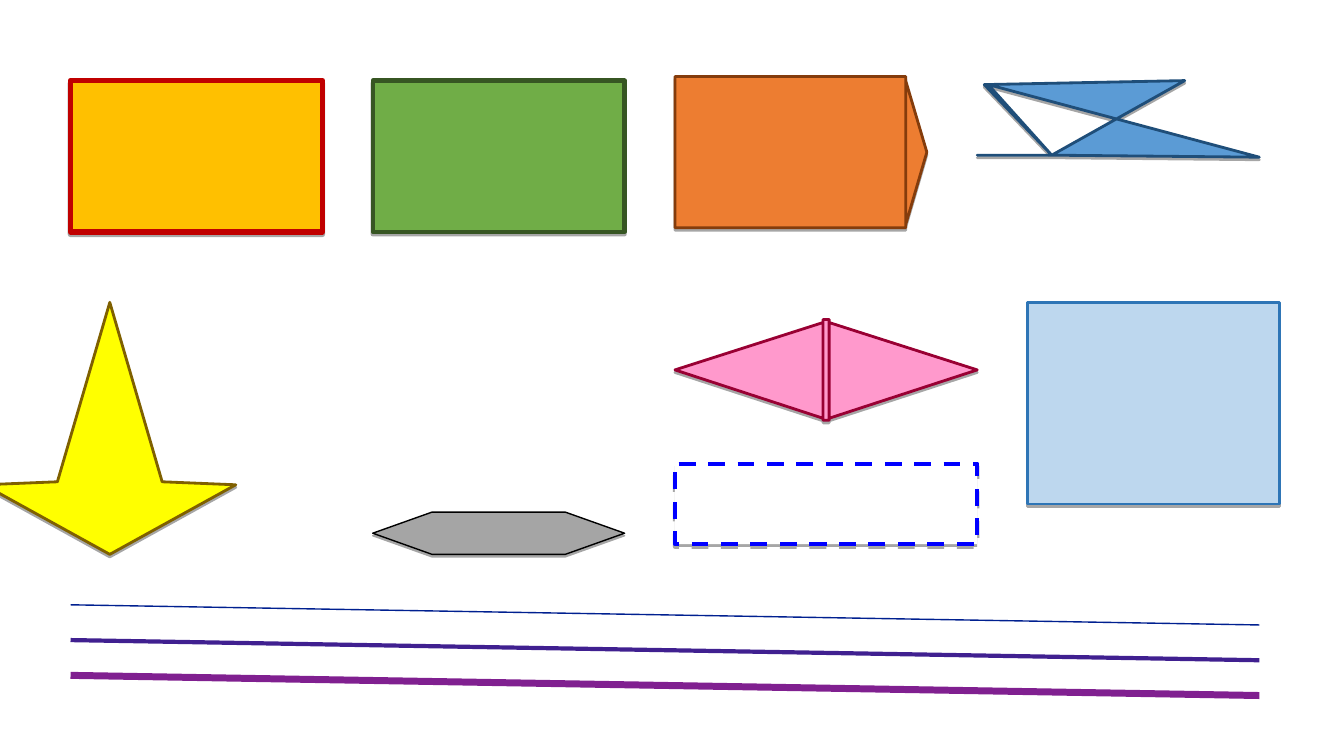
import pptx
import pptx.util
import pptx.dml.color
import pptx.enum.dml
import pptx.enum.shapes
import pptx.oxml
import pptx.oxml.ns

Inches = pptx.util.Inches
KIND = pptx.enum.shapes.MSO_SHAPE.RECTANGLE
STRAIGHT = pptx.enum.shapes.MSO_CONNECTOR.STRAIGHT

COLORS = {
    "gold": "FFC000", "red": "C00000",
    "green": "70AD47", "forest": "375623",
    "orange": "ED7D31", "brown": "843C0C",
    "blue": "5B9BD5", "navy": "1F4E79",
    "yellow": "FFFF00", "olive": "7F6000",
    "gray": "A5A5A5", "black": "000000",
    "pink": "FF99CC", "wine": "990033",
    "sky": "BDD7EE", "azure": "2E75B6",
    "white": "FFFFFF", "bright": "0000FF",
    "cobalt": "002090", "indigo": "402090", "purple": "802090",
}

# left, top, width, height, fill, line, weight
BOXES = [
    (0.7, 0.8, 2.5, 1.5, "gold", "red", 4),
    (3.7, 0.8, 2.5, 1.5, "green", "forest", 3),
    (10.2, 3, 2.5, 2, "sky", "azure", 2),
]
DASHED = (6.7, 4.6, 3, 0.8, "white", "bright", 3)

# corners, fill, line, weight
OUTLINES = [
    ([(6.7, 2.26), (8.99, 2.26), (8.99, 0.8), (9.2, 1.51), (8.99, 2.23),
      (8.99, 0.76), (6.7, 0.76)], "orange", "brown", 2),
    ([(9.7, 1.54), (10.44, 1.54), (9.77, 0.84), (11.76, 0.8), (10.44, 1.54),
      (9.81, 0.84), (12.5, 1.56), (10.44, 1.54)], "blue", "navy", 2),
    ([(-0.16, 4.81), (0.57, 4.78), (1.09, 3), (1.61, 4.78), (2.34, 4.81),
      (1.61, 4.78), (2.34, 4.81), (1.09, 5.5), (-0.16, 4.81), (0.57, 4.78)],
     "yellow", "olive", 2),
    ([(3.7, 5.29), (4.29, 5.5), (5.61, 5.5), (6.2, 5.29), (5.61, 5.08),
      (4.29, 5.08)], "gray", "black", 1),
    ([(6.7, 3.67), (8.17, 3.2), (8.17, 4.17), (8.23, 4.17), (8.23, 3.2),
      (9.7, 3.67), (8.23, 4.15), (8.23, 3.17), (8.17, 3.17), (8.17, 4.15)],
     "pink", "wine", 2),
]

RULES = [("cobalt", 1), ("indigo", 3), ("purple", 5)]
LEFT, RIGHT, TOP, STEP, DROP = 0.7, 12.5, 6, 0.35, 0.2

SHADOW = (
    f'<a:effectLst {pptx.oxml.ns.nsdecls("a")}>'
    '<a:outerShdw blurRad="0" dist="23000" dir="5400000" rotWithShape="0">'
    '<a:srgbClr val="000000"><a:alpha val="35000"/></a:srgbClr>'
    '</a:outerShdw></a:effectLst>'
)


def rgb(name):
    return pptx.dml.color.RGBColor.from_string(COLORS[name])


def stroke(shape, color, weight):
    shape.line.color.rgb = rgb(color)
    shape.line.width = pptx.util.Pt(weight)


def style(shape, fill, line, weight):
    shape.fill.solid()
    shape.fill.fore_color.rgb = rgb(fill)
    stroke(shape, line, weight)
    shape._element.spPr.append(pptx.oxml.parse_xml(SHADOW))


def add_box(shapes, left, top, width, height, *look):
    box = shapes.add_shape(KIND, *map(Inches, (left, top, width, height)))
    style(box, *look)
    return box


def add_outline(shapes, corners, *look):
    points = [(Inches(x), Inches(y)) for x, y in corners]
    pen = shapes.build_freeform(*points[0])
    pen.add_line_segments(points[1:], close=True)
    style(pen.convert_to_shape(), *look)


def add_rule(shapes, row, color, weight):
    top = TOP + row * STEP
    ends = map(Inches, (LEFT, top, RIGHT, top + DROP))
    rule = shapes.add_connector(STRAIGHT, *ends)
    stroke(rule, color, weight)
    rule._element.spPr.append(pptx.oxml.parse_xml(
        f'<a:effectLst {pptx.oxml.ns.nsdecls("a")}/>'))


def main():
    deck = pptx.Presentation()
    deck.slide_width, deck.slide_height = Inches(13.34), Inches(7.5)
    shapes = deck.slides.add_slide(deck.slide_layouts[6]).shapes
    for box in BOXES:
        add_box(shapes, *box)
    for outline in OUTLINES:
        add_outline(shapes, *outline)
    for row, rule in enumerate(RULES):
        add_rule(shapes, row, *rule)
    frame = add_box(shapes, *DASHED)
    frame.line.dash_style = pptx.enum.dml.MSO_LINE.DASH
    deck.save("out.pptx")


if __name__ == "__main__":
    main()
